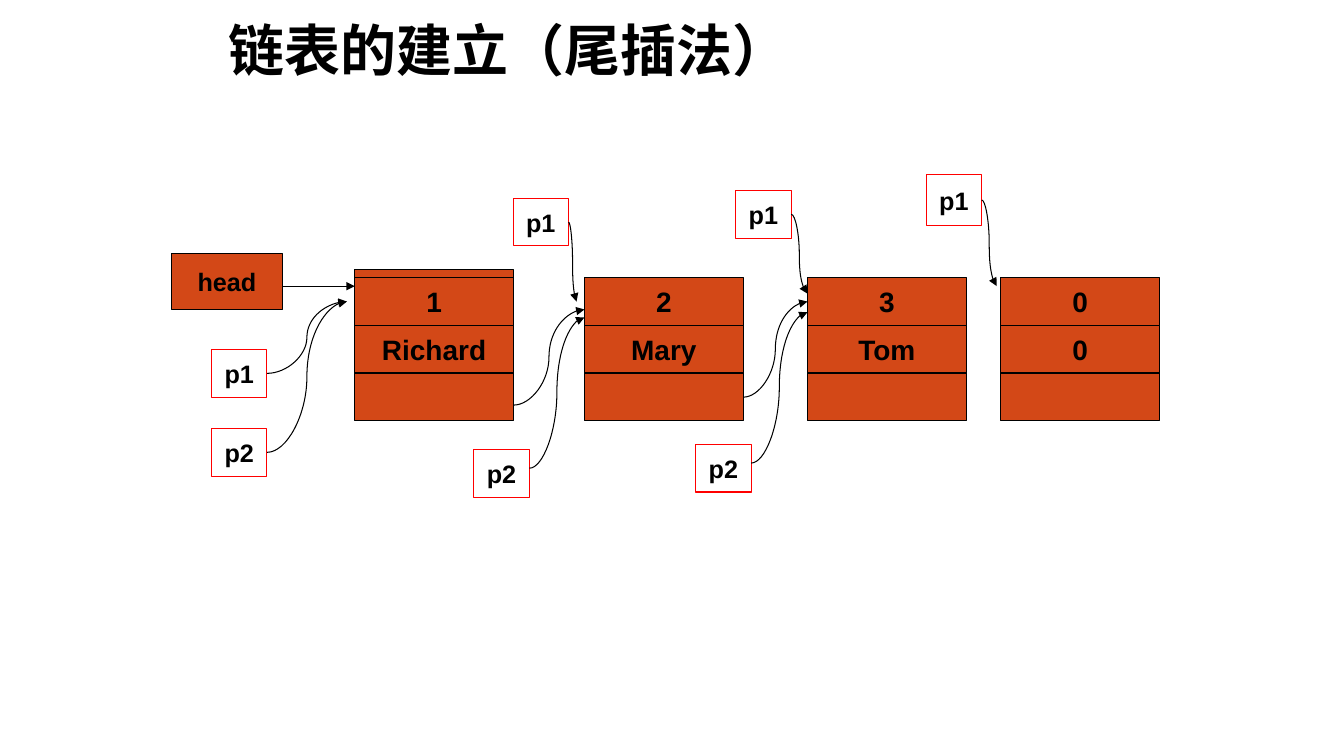
from pptx import Presentation
from pptx.dml.color import RGBColor
from pptx.enum.shapes import MSO_CONNECTOR as Connector, MSO_SHAPE as Shape
from pptx.enum.text import MSO_ANCHOR as Anchor, PP_ALIGN as Align
from pptx.oxml.ns import qn
from pptx.util import Cm, Pt
from lxml.etree import SubElement

BLACK, RED, ORANGE = "000000", "FF0000", "D34817"
CELL_WIDTH, CELL_HEIGHT, LIST_TOP = 4.0, 1.2, 7.0
POINTER_WIDTH = 1.4


def color(hex_code):
    """Turn a hex string into a colour."""
    return RGBColor.from_string(hex_code)


class Diagram:
    """Hold the slide and the style of its linked list."""

    def __init__(self, slide, font="Arial", line_width=0.75):
        """Keep the slide, the text font and the line width."""
        self.slide, self.font, self.line_width = slide, font, line_width

    def style_run(self, paragraph, font, size):
        """Make the text of a paragraph bold and black."""
        for run in paragraph.runs:
            run.font.name, run.font.size, run.font.bold = font, Pt(size), True
            run.font.color.rgb = color(BLACK)

    def title(self, text, left, top, width, height):
        """Place and format the title placeholder."""
        heading = self.slide.shapes.title
        heading.left, heading.top = Cm(left), Cm(top)
        heading.width, heading.height = Cm(width), Cm(height)
        heading.text_frame.text = text
        heading.text_frame.vertical_anchor = Anchor.MIDDLE
        paragraph = heading.text_frame.paragraphs[0]
        paragraph.alignment, paragraph.line_spacing = Align.LEFT, 0.9
        self.style_run(paragraph, "Arial Narrow", 40)

    def box(self, text, left, top, width, height, fill=ORANGE, line=BLACK, size=18):
        """Draw a rectangle with a centred label."""
        cell = self.slide.shapes.add_shape(
            Shape.RECTANGLE, Cm(left), Cm(top), Cm(width), Cm(height))
        cell.shadow.inherit = False
        if fill:
            cell.fill.solid()
            cell.fill.fore_color.rgb = color(fill)
        else:
            cell.fill.background()
        cell.line.color.rgb, cell.line.width = color(line), Pt(self.line_width)
        frame = cell.text_frame
        frame.word_wrap, frame.vertical_anchor = False, Anchor.MIDDLE
        frame.text = text
        frame.paragraphs[0].alignment = Align.CENTER
        self.style_run(frame.paragraphs[0], self.font, size)

    def arrow(self, start, end, kind=Connector.CURVE):
        """Draw a connector that ends in a triangle."""
        link = self.slide.shapes.add_connector(kind, *map(Cm, start + end))
        link.line.color.rgb, link.line.width = color(BLACK), Pt(self.line_width)
        SubElement(link.line._get_or_add_ln(), qn("a:tailEnd"), type="triangle")
        SubElement(link._element.spPr, qn("a:effectLst"))

    def node(self, left, number, name):
        """Stack the number, name and next cells of a list node."""
        for row, text in enumerate((number, name, "")):
            self.box(text, left, LIST_TOP + row * CELL_HEIGHT,
                     CELL_WIDTH, CELL_HEIGHT, size=20)

    def pointer(self, name, left, top, height, drop, target):
        """Draw a pointer box and the arrow from its right side."""
        self.box(name, left, top, POINTER_WIDTH, height, fill=None, line=RED)
        self.arrow((left + POINTER_WIDTH, top + drop), target)


prs = Presentation()
prs.slide_width, prs.slide_height = Cm(33.87), Cm(19.05)
diagram = Diagram(prs.slides.add_slide(prs.slide_layouts[5]))
diagram.title("链表的建立（尾插法）", 5.51, 0.33, 23.72, 2.01)

NODES = [(8.94, "1", "Richard"), (14.73, "2", "Mary"),
         (20.35, "3", "Tom"), (25.22, "0", "0")]
first, second, third, last = (left for left, *_ in NODES)

# The first node has a strip showing above its cells
diagram.box("", first, LIST_TOP - 0.2, CELL_WIDTH, 3 * CELL_HEIGHT)
for node in NODES:
    diagram.node(*node)

diagram.arrow((first + CELL_WIDTH, 10.21), (second, 7.8))
diagram.arrow((second + CELL_WIDTH, 10.01), (third, 7.6))

diagram.box("head", 4.32, 6.4, 2.8, 1.4)
diagram.arrow((7.12, 7.21), (first, 7.21), Connector.STRAIGHT)

# Name, left, top, height, drop to the arrow's start, arrow target
POINTERS = [
    ("p1", 5.33, 8.81, 1.2, 0.6, (first - 0.2, 7.6)),
    ("p2", 5.33, 10.8, 1.2, 0.6, (first - 0.2, 7.6)),
    ("p1", 12.93, 5.0, 1.2, 0.6, (second - 0.2, 7.6)),
    ("p2", 11.94, 11.33, 1.2, 0.47, (second, 8.0)),
    ("p1", 18.54, 4.8, 1.2, 0.6, (third, 7.4)),
    ("p2", 17.53, 11.2, 1.2, 0.47, (third, 7.87)),
    ("p1", 23.34, 4.39, 1.3, 0.65, (last - 0.1, 7.21)),
]
for pointer in POINTERS:
    diagram.pointer(*pointer)

prs.save("out.pptx")
